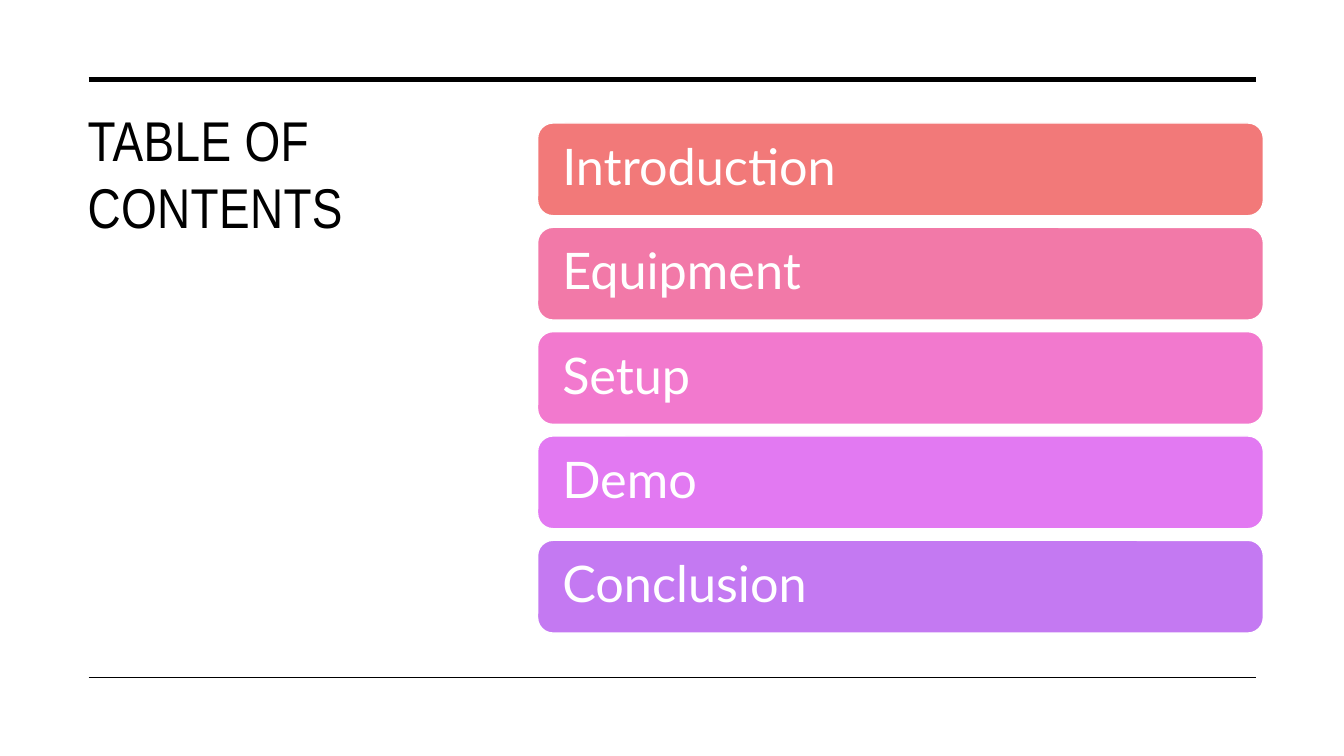
from dataclasses import dataclass

from lxml import etree
from pptx import Presentation
from pptx.dml.color import RGBColor
from pptx.enum.shapes import MSO_CONNECTOR, MSO_SHAPE
from pptx.enum.text import MSO_ANCHOR, PP_ALIGN
from pptx.oxml.ns import qn
from pptx.shapes.autoshape import Shape
from pptx.slide import Slide
from pptx.util import Emu, Inches, Pt

STRAIGHT = MSO_CONNECTOR.STRAIGHT
ROUNDED = MSO_SHAPE.ROUNDED_RECTANGLE
TOP, MIDDLE = MSO_ANCHOR.TOP, MSO_ANCHOR.MIDDLE
LEFT = PP_ALIGN.LEFT

WIDTH, HEIGHT = Inches(13.33), Inches(7.5)
BLACK, WHITE = "000000", "FFFFFF"

# Positions are percentages of the slide's width and height.
RULE_LEFT, RULE_RIGHT = 6.6, 93.45
TITLE_AREA = (5.78, 13.33, 30, 64.27)
BAR_LEFT, BAR_WIDTH = 40, 54
BAR_TOP, BAR_HEIGHT, BAR_PITCH = 16.27, 12.27, 13.8


@dataclass(frozen=True)
class Rule:
    y: float
    weight: float


@dataclass(frozen=True)
class Section:
    name: str
    fill: str


RULES = [Rule(10.53, 3.5), Rule(89.6, 1)]
SECTIONS = [
    Section("Introduction", "F27979"),
    Section("Equipment", "F279A8"),
    Section("Setup", "F279CE"),
    Section("Demo", "E279F2"),
    Section("Conclusion", "C479F2"),
]
TITLE_FONT = {"name": "Arial Narrow", "size": Pt(40)}
SECTION_FONT = {"name": "Lato", "size": Pt(36)}
TITLE_FRAME = {"word_wrap": True, "vertical_anchor": TOP}
SECTION_FRAME = {
    "word_wrap": True,
    "vertical_anchor": MIDDLE,
    "margin_left": Inches(0.2),
    "margin_right": Inches(0.2),
}


def across(share: float) -> Emu:
    return Emu(round(WIDTH * share / 100))


def down(share: float) -> Emu:
    return Emu(round(HEIGHT * share / 100))


def rgb(value: str) -> RGBColor:
    return RGBColor.from_string(value)


def apply_format(target: object, values: dict) -> None:
    for name, value in values.items():
        setattr(target, name, value)


def write_text(shape: Shape, text: str, color: str, frame: dict, font: dict,
               line_spacing: float = 1.0, tracking: float = 0) -> None:
    """Fill a shape with one left-aligned run; tracking is in points."""
    apply_format(shape.text_frame, frame)
    paragraph = shape.text_frame.paragraphs[0]
    apply_format(paragraph, {"alignment": LEFT, "line_spacing": line_spacing})
    run = paragraph.add_run()
    run.text = text
    apply_format(run.font, font)
    run.font.color.rgb = rgb(color)
    if tracking:
        run._r.get_or_add_rPr().set("spc", str(round(tracking * 100)))


def draw_rule(slide: Slide, rule: Rule) -> None:
    y = down(rule.y)
    connector = slide.shapes.add_connector(
        STRAIGHT, across(RULE_LEFT), y, across(RULE_RIGHT), y)
    connector.line.color.rgb = rgb(BLACK)
    connector.line.width = Pt(rule.weight)
    etree.SubElement(connector._element.spPr, qn("a:effectLst"))


def draw_title(slide: Slide) -> None:
    left, top, width, height = TITLE_AREA
    title = slide.shapes.add_textbox(
        across(left), down(top), across(width), down(height))
    write_text(title, "TABLE OF CONTENTS", BLACK, TITLE_FRAME, TITLE_FONT,
               tracking=0.3)


def draw_section(slide: Slide, index: int, section: Section) -> None:
    bar = slide.shapes.add_shape(
        ROUNDED, across(BAR_LEFT), down(BAR_TOP + index * BAR_PITCH),
        across(BAR_WIDTH), down(BAR_HEIGHT))
    bar.shadow.inherit = False
    bar.fill.solid()
    bar.fill.fore_color.rgb = rgb(section.fill)
    bar.line.color.rgb = rgb(WHITE)
    bar.line.width = Pt(1)
    write_text(bar, section.name, WHITE, SECTION_FRAME, SECTION_FONT,
               line_spacing=0.9)


def main() -> None:
    deck = Presentation()
    deck.slide_width, deck.slide_height = WIDTH, HEIGHT
    slide = deck.slides.add_slide(deck.slide_layouts[6])
    draw_title(slide)
    for rule in RULES:
        draw_rule(slide, rule)
    for index, section in enumerate(SECTIONS):
        draw_section(slide, index, section)
    deck.save("out.pptx")


if __name__ == "__main__":
    main()
